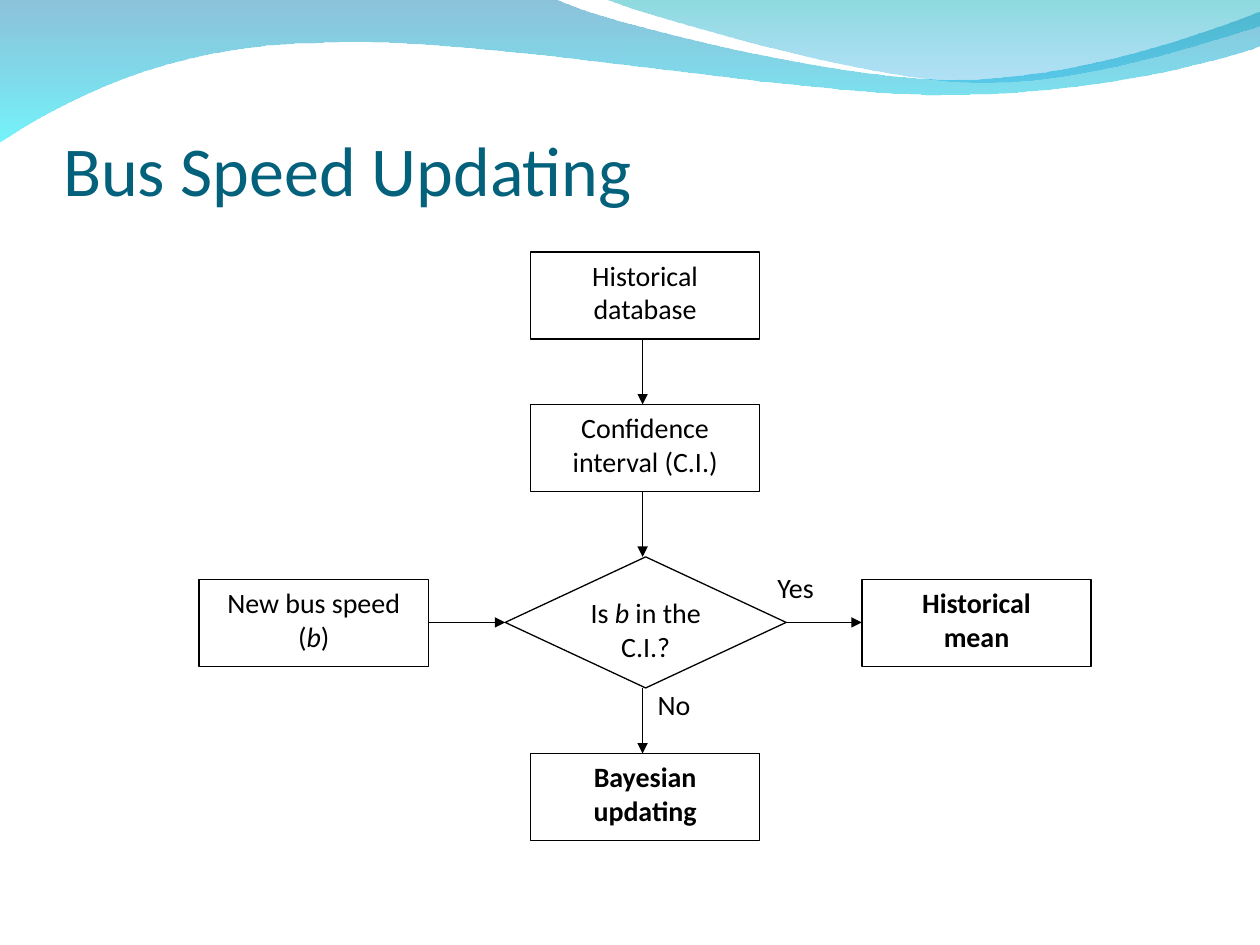
from dataclasses import dataclass

from lxml.etree import SubElement
from pptx import Presentation
from pptx.dml.color import RGBColor as RGB
from pptx.enum.shapes import MSO_CONNECTOR as LINE, MSO_SHAPE as SHAPE
from pptx.enum.text import MSO_ANCHOR as ANCHOR, PP_ALIGN as ALIGN
from pptx.oxml.ns import qn
from pptx.util import Inches, Pt


@dataclass(frozen=True)
class Theme:
    font: str = "Calibri"
    title: RGB = RGB.from_string("04617B")
    ink: RGB = RGB.from_string("000000")
    paper: RGB = RGB.from_string("FFFFFF")
    title_size: int = 40
    body_size: int = 16
    line: float = 0.75
    left_wave: tuple = (("0079AF", 45), ("00EBF8", 55))
    right_wave: tuple = (("00ADB6", 45), ("009BE5", 30))


THEME = Theme()
BOX_W, BOX_H = 1.82, 0.69
DIAMOND_W, DIAMOND_H = 2.23, 1.04
COLUMN_X, AXIS_X = 4.21, 5.1
DATABASE_Y, INTERVAL_Y, TEST_Y, RESULT_Y = 2, 3.21, 4.42, 5.98
SPEED_X, TEST_X, MEAN_X = 1.58, 4.01, 6.84
SIDE_Y, FLOW_Y = 4.6, 4.94
INSETS = (0.1, 0.05, 0.1, 0.05)
NARROW = (0.3, 0.05, 0.3, 0.05)

LEFT_WAVE = [
    (0, -0.01), (4.4, -0.01),
    (4.76, 0.17, 6.64, 0.63, 7.58, 0.63), (8.53, 0.63, 9.58, 0.26, 10, 0.09),
    (10.01, 0.36),
    (9.83, 0.44, 8.7, 0.76, 7.46, 0.75), (6.22, 0.75, 3.82, 0.28, 2.57, 0.34),
    (1.29, 0.35, 0.46, 0.83, -0.01, 1.13), (0, -0.01),
]
RIGHT_WAVE = [
    (4.79, -0.01),
    (5.09, 0.11, 6.82, 0.62, 7.69, 0.65), (8.56, 0.69, 9.61, 0.32, 10, 0.21),
    (10, 0), (4.79, -0.01),
]


def apply(obj, values):
    for name, value in values.items():
        setattr(obj, name, value)


def bend_segments(sp, outline):
    segments = iter(list(sp.element.iter(qn("a:lnTo"))))
    for part in outline[1:]:
        first = next(segments)
        if len(part) == 6:
            first.tag = qn("a:cubicBezTo")
            for _ in range(2):
                control = next(segments)
                first.append(control[0])
                control.getparent().remove(control)


def add_wave(slide, outline, stops):
    points = [tuple(map(Inches, part[i:i + 2]))
              for part in outline for i in range(0, len(part), 2)]
    builder = slide.shapes.build_freeform(*points[0])
    builder.add_line_segments(points[1:], close=True)
    sp = builder.convert_to_shape()
    bend_segments(sp, outline)
    sp.shadow.inherit = False
    sp.line.fill.background()
    sp.fill.gradient()
    sp.fill.gradient_angle = 270
    for stop, (color, _) in zip(sp.fill.gradient_stops, stops):
        stop.color.rgb = RGB.from_string(color)
    for color, (_, alpha) in zip(sp.element.iter(qn("a:srgbClr")), stops):
        SubElement(color, qn("a:alpha"), val=str(alpha * 1000))


def set_frame(tf, insets, anchor):
    sides = ("margin_left", "margin_top", "margin_right", "margin_bottom")
    apply(tf, dict(zip(sides, map(Inches, insets))))
    apply(tf, {"word_wrap": True, "vertical_anchor": anchor})


def add_run(p, text, color, **font):
    r = p.add_run()
    r.text = text
    apply(r.font, {"name": THEME.font, **font})
    r.font.color.rgb = color


def set_title(slide, text):
    title = slide.shapes.title
    apply(title, {"left": Inches(0.5), "top": Inches(0.77),
                  "width": Inches(9), "height": Inches(0.9)})
    set_frame(title.text_frame, (0, 0.05, 0, 0), ANCHOR.BOTTOM)
    p = title.text_frame.paragraphs[0]
    p.alignment = ALIGN.LEFT
    add_run(p, text, THEME.title, size=Pt(THEME.title_size))
    title.element.getparent().append(title.element)


def add_block(slide, box, runs, kind=SHAPE.RECTANGLE, bold=False,
              align=ALIGN.CENTER, insets=INSETS, outlined=True):
    sp = slide.shapes.add_shape(kind, *map(Inches, box))
    sp.shadow.inherit = False
    sp.fill.solid()
    sp.fill.fore_color.rgb = THEME.paper
    if outlined:
        sp.line.color.rgb = THEME.ink
        sp.line.width = Pt(THEME.line)
    else:
        sp.line.fill.background()
    set_frame(sp.text_frame, insets, ANCHOR.TOP)
    p = sp.text_frame.paragraphs[0]
    apply(p, {"alignment": align, "space_after": Pt(10)})
    for text in runs:
        add_run(p, text, THEME.ink, size=Pt(THEME.body_size),
                bold=bold, italic=text == "b")


def add_label(slide, box, text, align):
    add_block(slide, box, [text], align=align, insets=(0, 0, 0, 0), outlined=False)


def add_arrow(slide, x1, y1, x2, y2):
    arrow = slide.shapes.add_connector(LINE.STRAIGHT, *map(Inches, (x1, y1, x2, y2)))
    arrow.line.color.rgb = THEME.ink
    arrow.line.width = Pt(THEME.line)
    props = arrow.element.spPr
    SubElement(props.find(qn("a:ln")), qn("a:tailEnd"), type="triangle")
    SubElement(props, qn("a:effectLst"))


def main():
    prs = Presentation()
    prs.slide_width, prs.slide_height = Inches(10), Inches(7.5)
    slide = prs.slides.add_slide(prs.slide_layouts[5])
    add_wave(slide, LEFT_WAVE, THEME.left_wave)
    add_wave(slide, RIGHT_WAVE, THEME.right_wave)
    set_title(slide, "Bus Speed Updating")

    def add_box(x, y, *runs, **style):
        add_block(slide, (x, y, BOX_W, BOX_H), runs, **style)

    add_box(COLUMN_X, DATABASE_Y, "Historical database")
    add_box(COLUMN_X, INTERVAL_Y, "Confidence interval (C.I.)")
    add_box(SPEED_X, SIDE_Y, "New bus speed (", "b", ")")
    add_block(slide, (TEST_X, TEST_Y, DIAMOND_W, DIAMOND_H),
              ["Is ", "b", " in the C.I.?"], SHAPE.DIAMOND)
    add_box(MEAN_X, SIDE_Y, "Historical mean", bold=True, insets=NARROW)
    add_box(COLUMN_X, RESULT_Y, "Bayesian updating", bold=True)

    for start, end in ((DATABASE_Y + BOX_H, INTERVAL_Y), (INTERVAL_Y + BOX_H, TEST_Y),
                       (TEST_Y + DIAMOND_H, RESULT_Y)):
        add_arrow(slide, AXIS_X, start, AXIS_X, end)
    for start, end in ((SPEED_X + BOX_W, TEST_X), (TEST_X + DIAMOND_W, MEAN_X)):
        add_arrow(slide, start, FLOW_Y, end, FLOW_Y)

    add_label(slide, (6.17, 4.53, 0.45, 0.35), "Yes", ALIGN.LEFT)
    add_label(slide, (5.18, 5.46, 0.34, 0.35), "No", ALIGN.CENTER)
    prs.save("out.pptx")


if __name__ == "__main__":
    main()
